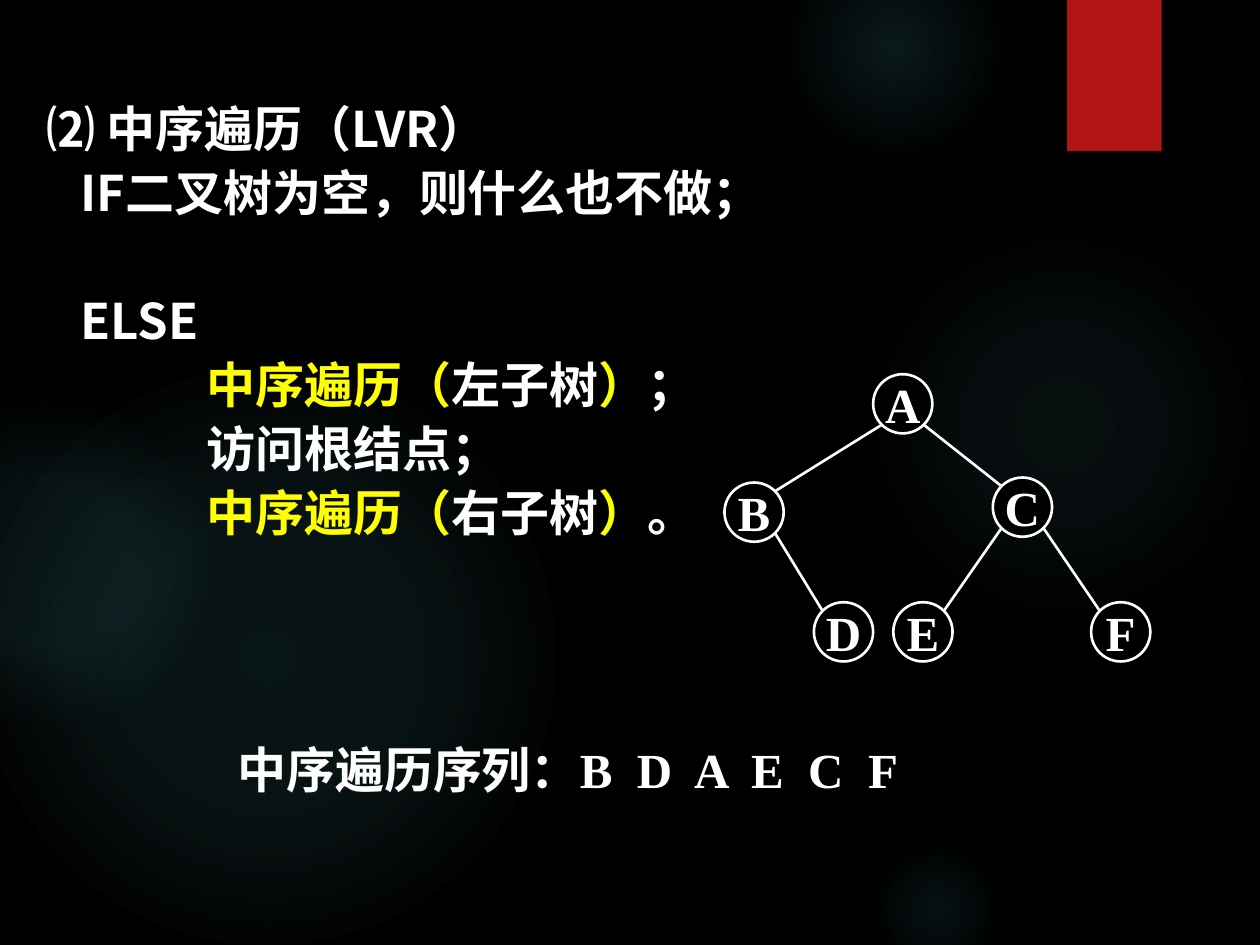
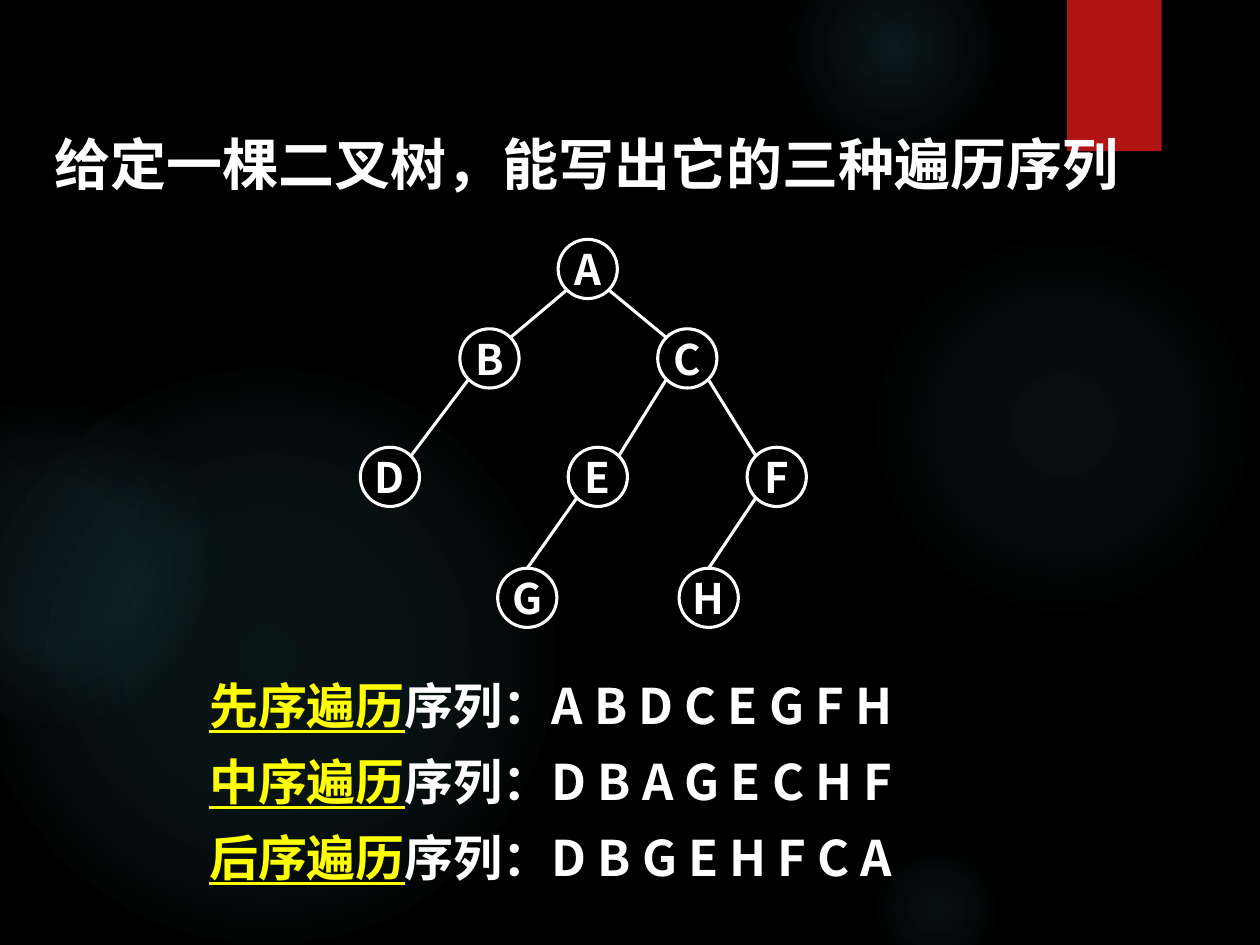
import dataclasses
import math

import pptx
import pptx.dml.color
import pptx.enum.shapes
import pptx.enum.text
import pptx.oxml
import pptx.oxml.ns
import pptx.util

Inches = pptx.util.Inches
Pt = pptx.util.Pt
SHAPES = pptx.enum.shapes.MSO_SHAPE
ALIGN = pptx.enum.text.PP_ALIGN
ANCHOR = pptx.enum.text.MSO_ANCHOR


@dataclasses.dataclass(frozen=True)
class Theme:
    back: str = "000000"
    text: str = "FFFFFF"
    accent: str = "FFFF00"
    band: str = "B01513"
    glow: str = "50B9C1"
    sans: str = "Noto Sans CJK SC"
    serif: str = "Times New Roman"
    title_size: int = 32
    body_size: int = 28
    node_size: int = 24
    node_width: float = 0.47


THEME = Theme()

# Left, top, diameter, and (position, opacity) stops in percent
GLOWS = [
    (6.89, 1.83, 3.08, [(0, 7), (36, 6), (69, 0)]),
    (6.22, -0.5, 1.75, [(0, 14), (36, 7), (73, 0)]),
    (6.89, 6.67, 1.08, [(0, 9), (36, 5), (66, 0)]),
    (-0.17, 2.92, 4.58, [(0, 11), (36, 10), (75, 0)]),
    (-0.92, 3.17, 2.58, [(0, 8), (36, 8), (72, 0)]),
]

# Left and top of each node; each edge is parent then child
INORDER_NODES = {"A": (6.93, 2.97), "B": (5.75, 3.83), "D": (6.46, 4.78),
                 "C": (7.88, 3.79), "E": (7.09, 4.78), "F": (8.66, 4.78)}
INORDER_EDGES = ["AB", "BD", "AC", "CE", "CF"]
SAMPLE_NODES = {"A": (4.43, 1.9), "B": (3.65, 2.61), "C": (5.22, 2.61),
                "D": (2.86, 3.55), "E": (4.51, 3.55), "F": (5.93, 3.55),
                "G": (3.95, 4.51), "H": (5.39, 4.51)}
SAMPLE_EDGES = ["AB", "AC", "BD", "CE", "CF", "EG", "FH"]


def rgb(value):
    return pptx.dml.color.RGBColor.from_string(value)


def apply(target, values):
    for name, value in values.items():
        setattr(target, name, value)


def drawing_xml(tag, content="", attributes=""):
    namespace = pptx.oxml.ns.nsdecls("a")
    return pptx.oxml.parse_xml(f"<a:{tag} {namespace} {attributes}>{content}</a:{tag}>")


# Text
def add_span(para, text, size, color=THEME.text, font=THEME.sans, underline=None):
    span = para.add_run()
    span.text = text
    apply(span.font, {"size": Pt(size), "name": font, "bold": True, "underline": underline})
    span.font.color.rgb = rgb(color)
    properties = span.font._element
    properties.find(pptx.oxml.ns.qn("a:latin")).addnext(
        drawing_xml("ea", attributes=f'typeface="{THEME.sans}"'))


def fill_lines(box, place, lines, size, pitch):
    """Each line is (indent, space before, spans); a span is (text, format)."""
    apply(box, dict(zip(("left", "top", "width", "height"), map(Inches, place))))
    frame = box.text_frame
    apply(frame, {"word_wrap": True, "vertical_anchor": ANCHOR.TOP,
                  "auto_size": pptx.enum.text.MSO_AUTO_SIZE.NONE})
    for number, (indent, before, spans) in enumerate(lines):
        para = frame.add_paragraph() if number else frame.paragraphs[0]
        apply(para, {"alignment": ALIGN.LEFT, "line_spacing": Pt(pitch),
                     "space_before": Pt(before), "space_after": Pt(0)})
        properties = para._p.get_or_add_pPr()
        properties.set("marL", str(Inches(indent)))
        properties.set("indent", "0")
        properties.append(drawing_xml("buNone"))
        for text, values in spans:
            add_span(para, text, size, **values)


def fill_title(slide, place, text, size, pitch):
    fill_lines(slide.shapes.title, place, [(0, 0, [(text, {})])], size, pitch)


# Shared backdrop
def add_glow(shapes, left, top, diameter, stops):
    glow = shapes.add_shape(SHAPES.OVAL, *map(Inches, (left, top, diameter, diameter)))
    glow.shadow.inherit = False
    glow.line.fill.background()
    glow.fill.background()
    colors = "".join(
        f'<a:gs pos="{position * 1000}"><a:srgbClr val="{THEME.glow}">'
        f'<a:alpha val="{opacity * 1000}"/></a:srgbClr></a:gs>'
        for position, opacity in stops)
    center = '<a:fillToRect l="50000" t="50000" r="50000" b="50000"/>'
    gradient = drawing_xml(
        "gradFill", f'<a:gsLst>{colors}</a:gsLst><a:path path="circle">{center}</a:path>')
    properties = glow.element.spPr
    properties.replace(properties.find(pptx.oxml.ns.qn("a:noFill")), gradient)
    return glow


def add_band(shapes):
    band = shapes.add_shape(SHAPES.RECTANGLE, *map(Inches, (8.47, 0, 0.75, 1.2)))
    band.shadow.inherit = False
    band.fill.solid()
    band.fill.fore_color.rgb = rgb(THEME.band)
    band.line.fill.background()
    return band


def move_backdrop_to_layout(slide):
    """Layouts have no add_shape, so the shapes are made on a slide and moved."""
    parts = [add_glow(slide.shapes, *glow) for glow in GLOWS]
    parts.append(add_band(slide.shapes))
    for part in parts:
        slide.slide_layout.shapes.element.append(part.element)


# Binary trees
def add_node(shapes, label, corner, font, size, weight):
    width = Inches(THEME.node_width)
    node = shapes.add_shape(SHAPES.OVAL, *map(Inches, corner), width, width)
    node.shadow.inherit = False
    node.fill.solid()
    node.fill.fore_color.rgb = rgb(THEME.back)
    node.line.color.rgb = rgb(THEME.text)
    node.line.width = Pt(weight)
    apply(node.text_frame, {"word_wrap": False, "vertical_anchor": ANCHOR.MIDDLE})
    para = node.text_frame.paragraphs[0]
    para.alignment = ALIGN.CENTER
    add_span(para, label, size, font=font)


def add_edge(shapes, parent, child, weight, to_top):
    """Leave the parent at its lower diagonal; reach the child's diagonal or top."""
    radius = THEME.node_width / 2
    reach = radius * math.sqrt(0.5)
    side = math.copysign(reach, child[0] - parent[0])
    start = (parent[0] + radius + side, parent[1] + radius + reach)
    if to_top:
        end = (child[0] + radius, child[1])
    else:
        end = (child[0] + radius - side, child[1] + radius - reach)
    edge = shapes.add_connector(pptx.enum.shapes.MSO_CONNECTOR.STRAIGHT,
                                *map(Inches, start + end))
    edge.line.color.rgb = rgb(THEME.text)
    edge.line.width = Pt(weight)
    edge.element.spPr.append(drawing_xml("effectLst"))


def add_tree(slide, nodes, edges, font, size, weight, top_joined=""):
    shapes = slide.shapes.add_group_shape().shapes
    for label, corner in nodes.items():
        add_node(shapes, label, corner, font, size, weight)
    for parent, child in edges:
        add_edge(shapes, nodes[parent], nodes[child], weight, child in top_joined)


# Slides
def build_inorder(slide):
    size, pitch = THEME.body_size, 36.6
    yellow = {"color": THEME.accent}
    fill_title(slide, (0.27, 0.69, 6.07, 0.61), "⑵ 中序遍历（LVR）", size, pitch)

    def recursion(subtree, mark):
        return [("中序遍历（", yellow), (subtree, {}), ("）", yellow), (mark, {})]

    lines = [
        (0.27, 0, [("IF二叉树为空，则什么也不做；", {})]),
        (0.27, pitch, [("ELSE", {})]),
        (1.27, 0, recursion("左子树", "；")),
        (1.27, 0, [("访问根结点；", {})]),
        (1.27, 0, recursion("右子树", "。")),
    ]
    fill_lines(slide.placeholders[1], (0.27, 1.2, 6.07, 3.2), lines, size, pitch)
    add_tree(slide, INORDER_NODES, INORDER_EDGES, THEME.serif, size, 1.5)

    box = slide.shapes.add_textbox(*map(Inches, (1.17, 5.77, 6.67, 0.67)))
    apply(box.text_frame, {"word_wrap": True, "vertical_anchor": ANCHOR.MIDDLE})
    para = box.text_frame.paragraphs[0]
    para.alignment = ALIGN.CENTER
    add_span(para, "中序遍历序列：B  D  A  E  C  F", size, font=THEME.serif)


def build_sequences(slide):
    fill_title(slide, (0.33, 0.93, 8.77, 0.68), "给定一棵二叉树，能写出它的三种遍历序列",
               THEME.title_size, 42)
    add_tree(slide, SAMPLE_NODES, SAMPLE_EDGES, THEME.sans, THEME.node_size, 1.75,
             top_joined="GH")
    orders = {"先序遍历": "A B D C E G F H",
              "中序遍历": "D B A G E C H F",
              "后序遍历": "D B G E H F C A"}
    marked = {"color": THEME.accent, "underline": True}
    lines = [(0, 0, [(name, marked), (f"序列：{sequence}", {})])
             for name, sequence in orders.items()]
    fill_lines(slide.placeholders[1], (1.56, 5.17, 5.9, 1.95), lines,
               THEME.body_size, 43.5)


def main():
    deck = pptx.Presentation()
    deck.slide_width, deck.slide_height = Inches(10), Inches(7.5)
    background = deck.slide_master.background.fill
    background.solid()
    background.fore_color.rgb = rgb(THEME.back)

    layout = deck.slide_layouts[1]
    pages = [deck.slides.add_slide(layout) for _ in range(2)]
    move_backdrop_to_layout(pages[0])
    build_inorder(pages[0])
    build_sequences(pages[1])
    deck.save("out.pptx")


if __name__ == "__main__":
    main()
